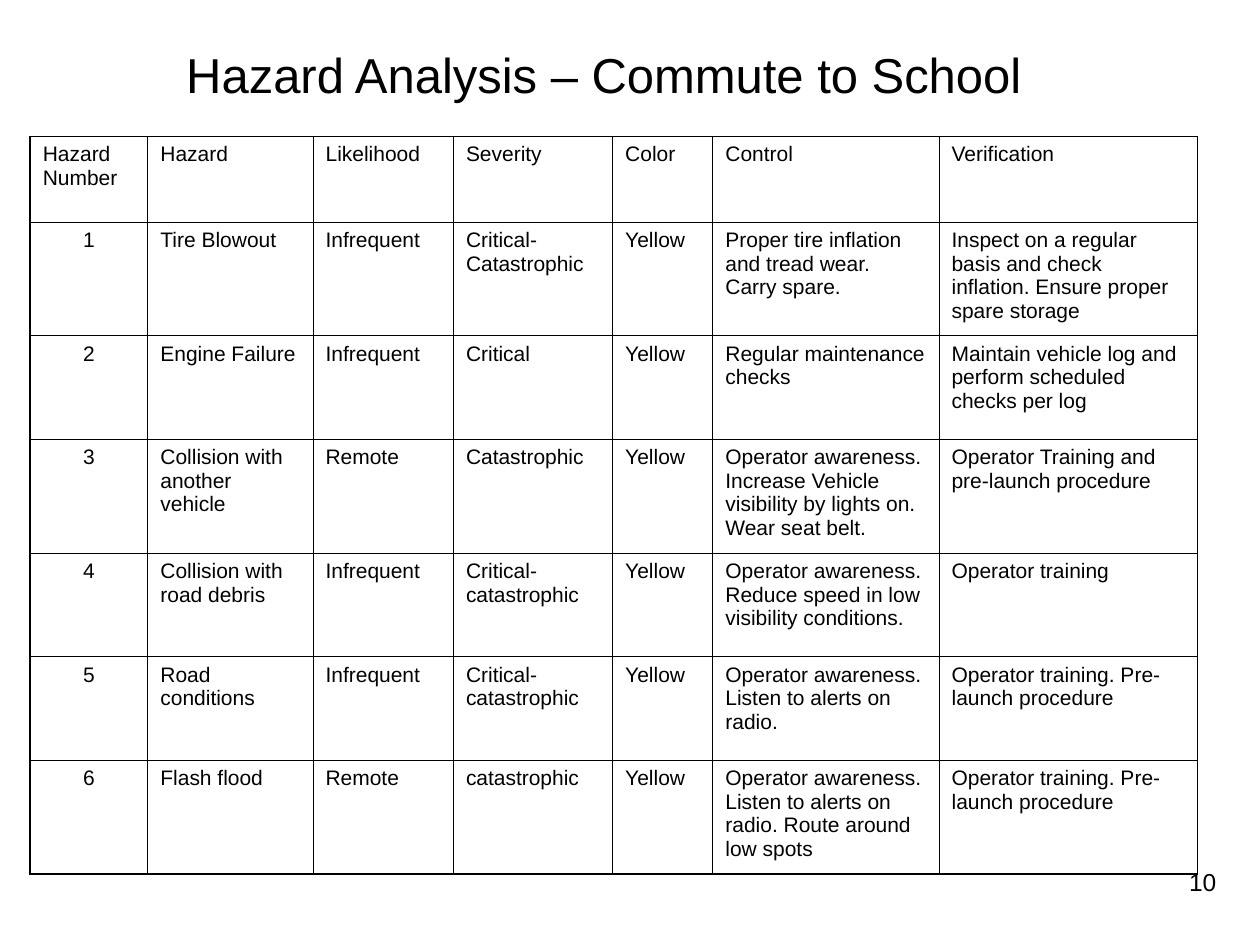
from dataclasses import dataclass

from lxml.etree import SubElement
from pptx import Presentation
from pptx.dml.color import RGBColor
from pptx.enum.text import MSO_ANCHOR as Anchor, PP_ALIGN as Align
from pptx.oxml.ns import qn
from pptx.util import Cm, Pt


@dataclass(frozen=True)
class Theme:
    font: str = "Arial"
    ink: str = "000000"
    title_size: float = 28
    number_size: float = 14
    cell_size: float = 12
    outer_line: float = 1.08
    inner_line: float = 0.45


THEME = Theme()
COLUMN_WIDTHS = [2.37, 3.33, 2.83, 3.21, 2.02, 4.56, 5.21]
ROW_HEIGHTS = [1.73, 2.29, 2.09, 2.29, 2.09, 2.09, 2.29]
HEADINGS = ["Hazard Number", "Hazard", "Likelihood", "Severity", "Color", "Control", "Verification"]
HAZARDS = [
    ["Tire Blowout", "Infrequent", "Critical-Catastrophic", "Yellow",
     "Proper tire inflation and tread wear. Carry spare.",
     "Inspect on a regular basis and check inflation. Ensure proper spare storage"],
    ["Engine Failure", "Infrequent", "Critical", "Yellow",
     "Regular maintenance checks",
     "Maintain vehicle log and perform scheduled checks per log"],
    ["Collision with another vehicle", "Remote", "Catastrophic", "Yellow",
     "Operator awareness. Increase Vehicle visibility by lights on. Wear seat belt.",
     "Operator Training and pre-launch procedure"],
    ["Collision with road debris", "Infrequent", "Critical-catastrophic", "Yellow",
     "Operator awareness. Reduce speed in low visibility conditions.",
     "Operator training"],
    ["Road conditions", "Infrequent", "Critical-catastrophic", "Yellow",
     "Operator awareness. Listen to alerts on radio.",
     "Operator training. Pre-launch procedure"],
    ["Flash flood", "Remote", "catastrophic", "Yellow",
     "Operator awareness. Listen to alerts on radio. Route around low spots",
     "Operator training. Pre-launch procedure"],
]


def write_text(frame, text, size, alignment):
    frame.word_wrap = True
    paragraph = frame.paragraphs[0]
    paragraph.text = text
    paragraph.alignment = alignment
    paragraph.font.name = THEME.font
    paragraph.font.size = Pt(size)
    paragraph.font.color.rgb = RGBColor.from_string(THEME.ink)


def add_title(slide, left, top, width, height):
    title = slide.shapes.title
    title.left, title.top, title.width, title.height = map(Cm, (left, top, width, height))
    title.text_frame.vertical_anchor = Anchor.MIDDLE
    write_text(title.text_frame, "Hazard Analysis – Commute to School", THEME.title_size, Align.CENTER)


def add_page_number(slide, left, top, width, height):
    box = slide.shapes.add_textbox(*map(Cm, (left, top, width, height)))
    write_text(box.text_frame, "10", THEME.number_size, Align.RIGHT)


def set_borders(cell, outer_edges):
    cell.fill.background()
    properties = cell._tc.get_or_add_tcPr()
    for position, (edge, is_outer) in enumerate(outer_edges.items()):
        width = THEME.outer_line if is_outer else THEME.inner_line
        line = properties.makeelement(qn(f"a:ln{edge}"), {"w": str(int(Pt(width)))})
        properties.insert(position, line)
        SubElement(SubElement(line, qn("a:solidFill")), qn("a:srgbClr"), val=THEME.ink)


def add_hazard_table(slide, left, top):
    rows = [HEADINGS] + [[str(number), *hazard] for number, hazard in enumerate(HAZARDS, 1)]
    last_row, last_column = len(rows) - 1, len(HEADINGS) - 1
    table = slide.shapes.add_table(
        len(rows), len(HEADINGS), Cm(left), Cm(top),
        Cm(sum(COLUMN_WIDTHS)), Cm(sum(ROW_HEIGHTS))).table
    table.first_row = table.horz_banding = False
    for column, width in zip(table.columns, COLUMN_WIDTHS):
        column.width = Cm(width)
    for row, height in zip(table.rows, ROW_HEIGHTS):
        row.height = Cm(height)
    for row_index, values in enumerate(rows):
        for column_index, value in enumerate(values):
            cell = table.cell(row_index, column_index)
            is_hazard_number = row_index > 0 and column_index == 0
            write_text(cell.text_frame, value, THEME.cell_size,
                       Align.CENTER if is_hazard_number else Align.LEFT)
            set_borders(cell, {
                "L": column_index == 0,
                "R": column_index == last_column,
                "T": row_index == 0,
                "B": row_index == last_row,
            })


def main():
    presentation = Presentation()
    presentation.slide_width, presentation.slide_height = Cm(25.4), Cm(19.05)
    slide = presentation.slides.add_slide(presentation.slide_layouts.get_by_name("Title Only"))
    add_page_number(slide, 18.85, 17.35, 5.92, 1.32)
    add_title(slide, 3.18, 0.43, 17.98, 2.11)
    add_hazard_table(slide, 0.61, 2.75)
    presentation.save("out.pptx")


if __name__ == "__main__":
    main()
